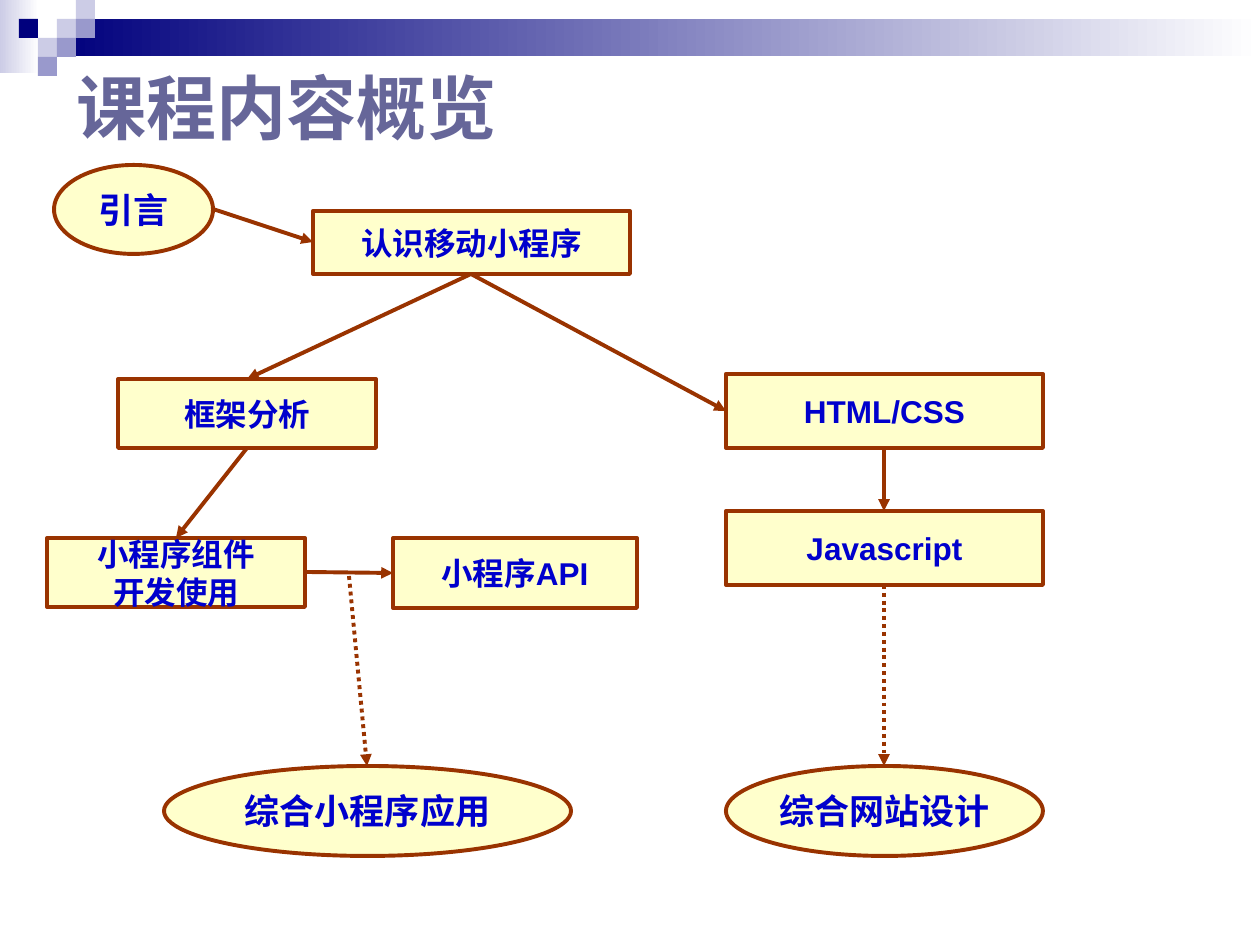
from dataclasses import dataclass

from lxml import etree
from pptx import Presentation
from pptx import util as u
from pptx.dml import color
from pptx.enum import dml, shapes, text
from pptx.oxml import ns

SCALE = 914400 / 126
FONT = "Arial"
HUES = {
    "navy": "00007D",
    "mid": "9999CC",
    "pale": "CCCCE6",
    "white": "FFFFFF",
    "title": "666699",
    "cream": "FFFFCC",
    "rust": "993300",
    "blue": "0000CC",
}
RECT = shapes.MSO_SHAPE.RECTANGLE
OVAL = shapes.MSO_SHAPE.OVAL


@dataclass(frozen=True)
class Box:
    x: int
    y: int
    w: int
    h: int

    def at(self, side: str) -> tuple[int, int]:
        cx, cy = self.x + self.w // 2, self.y + self.h // 2
        return {
            "top": (cx, self.y),
            "foot": (cx, self.y + self.h),
            "left": (self.x, cy),
            "right": (self.x + self.w, cy),
        }[side]


@dataclass(frozen=True)
class Node:
    box: Box
    lines: tuple[str, ...]
    kind: shapes.MSO_SHAPE = RECT
    size: int = 18


@dataclass(frozen=True)
class Link:
    start: tuple[int, int]
    end: tuple[int, int]
    dots: bool = False


def px(n: int) -> u.Emu:
    return u.Emu(round(n * SCALE))


def hue(name: str) -> color.RGBColor:
    return color.RGBColor.from_string(HUES[name])


def write(para, words: str, size: int, tint: str) -> None:
    run = para.add_run()
    run.text = words
    run.font.name = FONT
    run.font.size = u.Pt(size)
    run.font.bold = True
    run.font.color.rgb = hue(tint)


def place(slide, kind: shapes.MSO_SHAPE, box: Box):
    shape = slide.shapes.add_shape(
        kind, px(box.x), px(box.y), px(box.w), px(box.h))
    shape.shadow.inherit = False
    return shape


def tile(slide, box: Box, tint: str) -> None:
    shape = place(slide, RECT, box)
    shape.fill.solid()
    shape.fill.fore_color.rgb = hue(tint)
    shape.line.fill.background()


def fade(slide, box: Box, tint: str) -> None:
    shape = place(slide, RECT, box)
    shape.fill.gradient()
    shape.fill.gradient_angle = 0
    for stop, spot, name in zip(shape.fill.gradient_stops, (0, 1), (tint, "white")):
        stop.position = spot
        stop.color.rgb = hue(name)
    shape.line.fill.background()


def draw(slide, node: Node) -> None:
    shape = place(slide, node.kind, node.box)
    shape.fill.solid()
    shape.fill.fore_color.rgb = hue("cream")
    shape.line.color.rgb = hue("rust")
    shape.line.width = u.Pt(2.25)
    frame = shape.text_frame
    frame.word_wrap = False
    frame.vertical_anchor = text.MSO_ANCHOR.MIDDLE
    for i, words in enumerate(node.lines):
        para = frame.add_paragraph() if i else frame.paragraphs[0]
        para.alignment = text.PP_ALIGN.CENTER
        write(para, words, node.size, "blue")


def join(slide, link: Link) -> None:
    ends = [px(n) for n in link.start + link.end]
    line = slide.shapes.add_connector(shapes.MSO_CONNECTOR.STRAIGHT, *ends)
    line.line.color.rgb = hue("rust")
    line.line.width = u.Pt(2.25)
    if link.dots:
        line.line.dash_style = dml.MSO_LINE.ROUND_DOT
    props = line.element.spPr
    etree.SubElement(props.find(ns.qn("a:ln")), ns.qn("a:tailEnd"), type="triangle")
    etree.SubElement(props, ns.qn("a:effectLst"))


def head(slide, words: str) -> None:
    title = slide.shapes.title
    title.left, title.top, title.width, title.height = map(px, (64, 59, 525, 96))
    frame = title.text_frame
    frame.word_wrap = True
    frame.vertical_anchor = text.MSO_ANCHOR.MIDDLE
    para = frame.paragraphs[0]
    para.alignment = text.PP_ALIGN.LEFT
    write(para, words, 40, "title")


def band(slide) -> None:
    fade(slide, Box(0, 0, 39, 73), "pale")
    fade(slide, Box(57, 19, 1203, 37), "navy")
    cell = 19
    tiles = (
        (3, 1, "pale"), (4, 0, "pale"), (4, 1, "mid"), (2, 2, "pale"),
        (1, 1, "navy"), (3, 2, "mid"), (2, 3, "mid"),
    )
    for col, row, tint in tiles:
        tile(slide, Box(col * cell, row * cell, cell, cell), tint)


def main() -> None:
    deck = Presentation()
    deck.slide_width, deck.slide_height = px(1260), px(945)
    slide = deck.slides.add_slide(deck.slide_layouts[5])
    band(slide)
    head(slide, "课程内容概览")

    intro = Box(54, 165, 159, 89)
    know = Box(313, 211, 317, 63)
    frame = Box(118, 379, 258, 69)
    parts = Box(47, 538, 258, 69)
    api = Box(393, 538, 244, 70)
    html = Box(726, 374, 317, 74)
    code = Box(726, 511, 317, 74)
    app = Box(164, 766, 407, 90)
    site = Box(726, 766, 317, 90)

    nodes = (
        Node(intro, ("引言",), OVAL, 20),
        Node(know, ("认识移动小程序",)),
        Node(frame, ("框架分析",)),
        Node(parts, ("小程序组件", "开发使用")),
        Node(api, ("小程序API",)),
        Node(html, ("HTML/CSS",)),
        Node(code, ("Javascript",)),
        Node(app, ("综合小程序应用",), OVAL, 20),
        Node(site, ("综合网站设计",), OVAL, 20),
    )
    links = (
        Link(intro.at("right"), know.at("left")),
        Link(know.at("foot"), frame.at("top")),
        Link(know.at("foot"), html.at("left")),
        Link(frame.at("foot"), parts.at("top")),
        Link(parts.at("right"), api.at("left")),
        Link(html.at("foot"), code.at("top")),
        Link((349, 576), app.at("top"), True),
        Link(code.at("foot"), site.at("top"), True),
    )
    for node in nodes:
        draw(slide, node)
    for link in links:
        join(slide, link)
    deck.save("out.pptx")


if __name__ == "__main__":
    main()
